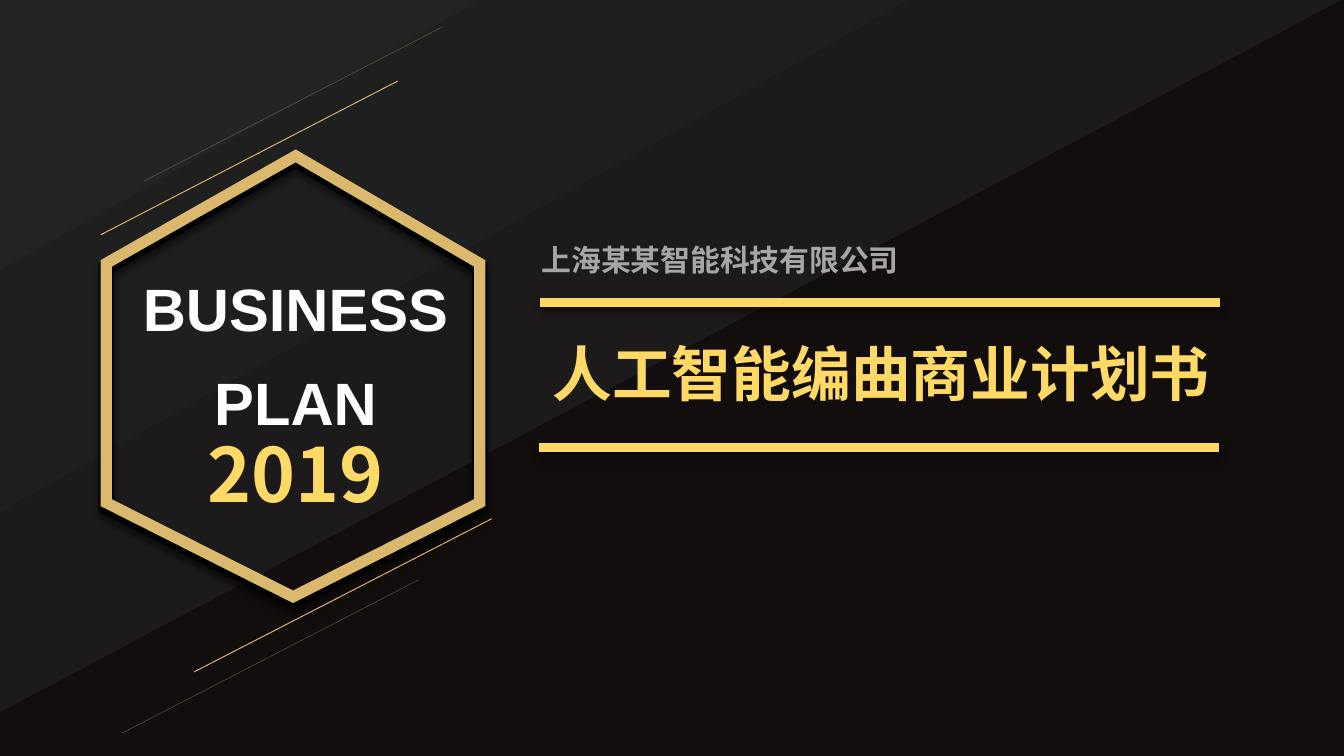
from typing import NamedTuple

from lxml import etree
from pptx import Presentation
from pptx.dml.color import RGBColor
from pptx.enum.shapes import MSO_CONNECTOR, MSO_SHAPE
from pptx.enum.text import MSO_ANCHOR, PP_ALIGN
from pptx.oxml.ns import qn
from pptx.util import Pt

STRAIGHT = MSO_CONNECTOR.STRAIGHT
RIGHT_TRIANGLE = MSO_SHAPE.RIGHT_TRIANGLE
MIDDLE = MSO_ANCHOR.MIDDLE
LEFT, CENTER = PP_ALIGN.LEFT, PP_ALIGN.CENTER

COLORS = {
    "background": "120E0D",
    "band": "232323",
    "outline": "020302",
    "gold": "DAB96E",
    "yellow": "FFD966",
    "white": "FFFFFF",
    "gray": "A6A6A6",
    "shadow": "000000",
}
LATIN_FONT = "Arial"
CHINESE_FONT = "Noto Sans CJK SC"


class Band(NamedTuple):
    width: float
    height: float
    opacity: int


class Stroke(NamedTuple):
    start: tuple[float, float]
    end: tuple[float, float]
    color: str
    weight: float
    opacity: int = 100
    shadow: bool = False


class Label(NamedTuple):
    text: str
    frame: tuple[float, float, float, float]
    size: float
    color: str
    font: str
    align: PP_ALIGN = CENTER
    wrap: bool = False


BANDS = [Band(718.6, 381.6, 60), Band(486.7, 274.3, 60), Band(257, 144.7, 100)]
BARS = [
    Stroke((289.4, 162), (653.4, 162), "yellow", 4.5, shadow=True),
    Stroke((288.7, 239.8), (653, 239.8), "yellow", 4.5, shadow=True),
]
SLANTS = [
    Stroke((103.9, 360), (263.5, 277.9), "gold", 0.5),
    Stroke((65.3, 392.8), (224.6, 310.5), "gold", 0.25, 40),
    Stroke((54, 125.8), (213.1, 43.4), "gold", 0.5),
    Stroke((77.3, 97), (236.6, 14.6), "gold", 0.25, 40),
]
HEXAGON = [(158.4, 83.5), (257, 141.1), (257, 269.3),
           (157, 319.7), (56.9, 269.3), (56.9, 141.1)]
TITLE = Label("人工智能编曲商业计划书", (288.7, 176.5, 392.4, 46), 32, "yellow",
              CHINESE_FONT, LEFT, True)
LABELS = [
    Label("BUSINESS", (68.4, 142, 180, 46), 32, "white", LATIN_FONT),
    Label("PLAN", (107.3, 192, 102.2, 46), 32, "white", LATIN_FONT),
    Label("2019", (96, 225.5, 124.6, 55.4), 40, "yellow", CHINESE_FONT),
    Label("上海某某智能科技有限公司", (283, 126, 236.2, 26.6), 16, "gray",
          CHINESE_FONT, LEFT, True),
]


def color(name: str) -> RGBColor:
    return RGBColor.from_string(COLORS[name])


def set_opacity(shape, percent: int) -> None:
    if percent < 100:
        swatch = next(shape._element.spPr.iter(qn("a:srgbClr")))
        etree.SubElement(swatch, qn("a:alpha"), val=str(percent * 1000))


def set_effects(shape, shadow: bool) -> None:
    """Replace the theme shadow by a soft one below the shape, or by none."""
    effects = etree.SubElement(shape._element.spPr, qn("a:effectLst"))
    if shadow:
        outer = etree.SubElement(effects, qn("a:outerShdw"), blurRad=str(Pt(4)),
                                 dist=str(Pt(3)), dir="5400000", rotWithShape="0")
        swatch = etree.SubElement(outer, qn("a:srgbClr"), val=COLORS["shadow"])
        etree.SubElement(swatch, qn("a:alpha"), val="40000")


def add_band(page, band: Band) -> None:
    """Draw a triangle filling the top left corner after a quarter turn."""
    offset = (band.width - band.height) / 2
    shape = page.shapes.add_shape(RIGHT_TRIANGLE, Pt(offset), Pt(-offset),
                                  Pt(band.height), Pt(band.width))
    shape.rotation = 90
    shape.fill.solid()
    shape.fill.fore_color.rgb = color("band")
    set_opacity(shape, band.opacity)
    shape.line.fill.background()
    set_effects(shape, shadow=False)


def add_hexagon(page, drop: float, line_color: str, weight: float) -> None:
    points = [(Pt(x), Pt(y + drop)) for x, y in HEXAGON]
    builder = page.shapes.build_freeform(*points[0])
    builder.add_line_segments(points[1:], close=True)
    shape = builder.convert_to_shape()
    shape.fill.background()
    shape.line.color.rgb = color(line_color)
    shape.line.width = Pt(weight)
    etree.SubElement(shape.line._get_or_add_ln(), qn("a:miter"), lim="800000")
    set_effects(shape, shadow=True)


def add_stroke(page, stroke: Stroke) -> None:
    ends = [Pt(value) for value in (*stroke.start, *stroke.end)]
    connector = page.shapes.add_connector(STRAIGHT, *ends)
    connector.line.color.rgb = color(stroke.color)
    connector.line.width = Pt(stroke.weight)
    set_opacity(connector, stroke.opacity)
    set_effects(connector, stroke.shadow)


def write_text(box, text: str, *, size: float, text_color: str, font: str,
               align: PP_ALIGN, wrap: bool) -> None:
    frame = box.text_frame
    frame.word_wrap = wrap
    frame.vertical_anchor = MIDDLE
    para = frame.paragraphs[0]
    para.alignment = align
    span = para.add_run()
    span.text = text
    span.font.size = Pt(size)
    span.font.bold = True
    span.font.name = font
    span.font.color.rgb = color(text_color)
    etree.SubElement(span.font._element, qn("a:ea"), typeface=font)


def fill_label(box, label: Label) -> None:
    box.left, box.top, box.width, box.height = map(Pt, label.frame)
    write_text(box, label.text, size=label.size, text_color=label.color,
               font=label.font, align=label.align, wrap=label.wrap)


def main() -> None:
    deck = Presentation()
    deck.slide_width, deck.slide_height = Pt(720), Pt(405)
    page = deck.slides.add_slide(deck.slide_layouts[5])
    page.background.fill.solid()
    page.background.fill.fore_color.rgb = color("background")

    # Diagonal background bands
    for band in BANDS:
        add_band(page, band)

    # Hexagon frame: dark edge below, gold on top
    add_hexagon(page, 2.2, "outline", 8)
    add_hexagon(page, 0, "gold", 6)

    # Title bars and slanted accents
    for stroke in BARS + SLANTS:
        add_stroke(page, stroke)

    # Title, raised above the bands, and the other texts
    title = page.shapes.title
    page.shapes._spTree.append(title._element)
    fill_label(title, TITLE)
    for label in LABELS:
        fill_label(page.shapes.add_textbox(0, 0, 0, 0), label)

    deck.save("out.pptx")


if __name__ == "__main__":
    main()
